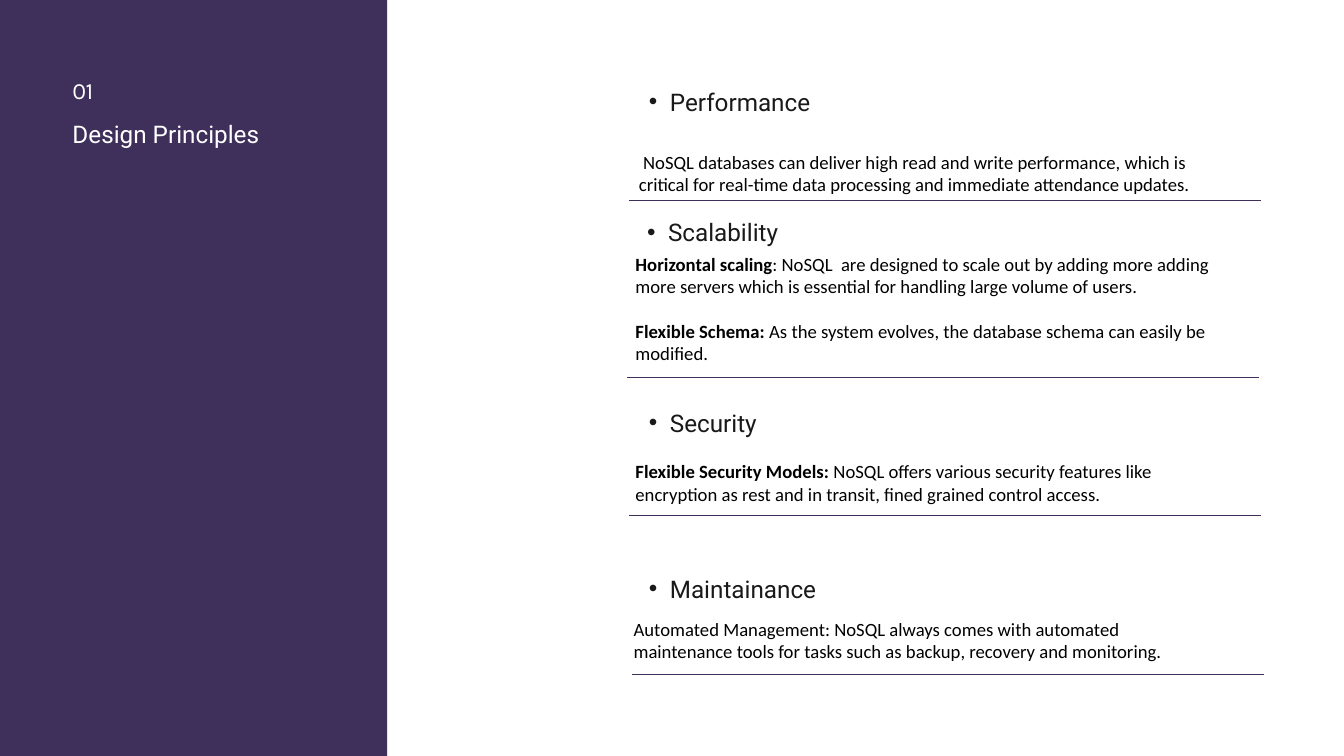
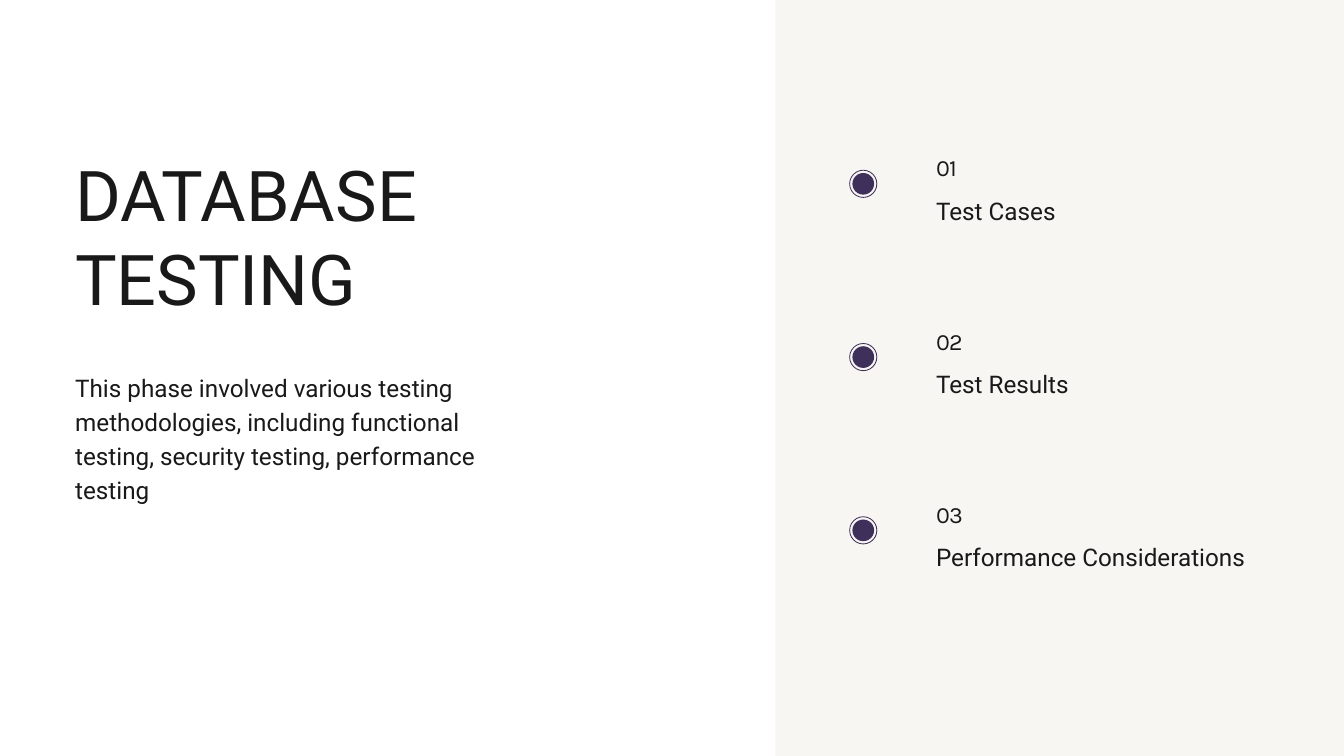
import lxml.etree
import pptx
import pptx.dml.color
import pptx.enum.shapes
import pptx.enum.text
import pptx.oxml.ns
import pptx.util

Cm = pptx.util.Cm
Pt = pptx.util.Pt
SHAPE = pptx.enum.shapes.MSO_SHAPE
qn = pptx.oxml.ns.qn

# Theme: colours, type styles and shared measures
THEME = {
    "purple": pptx.dml.color.RGBColor.from_string("3E2F5B"),
    "cream": pptx.dml.color.RGBColor.from_string("F8F6F3"),
    "ink": pptx.dml.color.RGBColor.from_string("191919"),
    "white": pptx.dml.color.RGBColor.from_string("FFFFFF"),
    "black": pptx.dml.color.RGBColor.from_string("000000"),
    "number": {"font": {"name": "Karla", "size": Pt(25)}, "leading": Pt(32.5), "tracking": -80},
    "label": {"font": {"name": "Roboto", "size": Pt(26)}, "leading": Pt(36.4)},
    "display": {"font": {"name": "Roboto", "size": Pt(75)}, "leading": Pt(90)},
    "detail": {"font": {"name": "Calibri", "size": Pt(20)}, "leading": 1.0, "inset": (0.25, 0.13)},
}
SLIDE_WIDTH, SLIDE_HEIGHT = 50.8, 28.58


def write_text(shape, box, text, style, color, lead="", bullet=False):
    """Place a text shape and fill it with one paragraph, with an optional bold lead."""
    for name, value in zip(("left", "top", "width", "height"), box):
        setattr(shape, name, Cm(value))
    side, edge = style.get("inset", (0, 0))
    frame = shape.text_frame
    frame_format = {
        "margin_left": Cm(side), "margin_right": Cm(side),
        "margin_top": Cm(edge), "margin_bottom": Cm(edge),
        "word_wrap": True,
        "vertical_anchor": pptx.enum.text.MSO_ANCHOR.TOP,
        "auto_size": pptx.enum.text.MSO_AUTO_SIZE.SHAPE_TO_FIT_TEXT,
    }
    for name, value in frame_format.items():
        setattr(frame, name, value)

    paragraph = frame.paragraphs[0]
    properties = paragraph._p.get_or_add_pPr()
    if bullet:
        properties.set("marL", str(Cm(1.55)))
        properties.set("indent", str(Cm(-0.79)))
        lxml.etree.SubElement(properties, qn("a:buFont")).set("typeface", "Arial")
        lxml.etree.SubElement(properties, qn("a:buChar")).set("char", "•")
    else:
        properties.set("marL", "0")
        properties.set("indent", "0")
        lxml.etree.SubElement(properties, qn("a:buNone"))
    paragraph_format = {
        "alignment": pptx.enum.text.PP_ALIGN.LEFT,
        "line_spacing": style["leading"],
        "space_before": Pt(0),
    }
    for name, value in paragraph_format.items():
        setattr(paragraph, name, value)

    for content, bold in ((lead, True), (text, False)):
        if content:
            run = paragraph.add_run()
            run.text = content
            for name, value in {**style["font"], "bold": bold}.items():
                setattr(run.font, name, value)
            run.font.color.rgb = color
            if "tracking" in style:
                run._r.get_or_add_rPr().set("spc", str(style["tracking"]))


def add_filled(slide, kind, box, color):
    """Add a flat preset shape without an outline."""
    shape = slide.shapes.add_shape(kind, *map(Cm, box))
    shape.shadow.inherit = False
    shape.fill.solid()
    shape.fill.fore_color.rgb = color
    shape.line.fill.background()
    return shape


presentation = pptx.Presentation()
presentation.slide_width = Cm(SLIDE_WIDTH)
presentation.slide_height = Cm(SLIDE_HEIGHT)
principles = presentation.slides.add_slide(presentation.slide_layouts.get_by_name("Comparison"))
testing = presentation.slides.add_slide(presentation.slide_layouts.get_by_name("Title and Content"))

# Side panels, behind the placeholders
for slide, left, width, color in (
    (principles, 0, 14.63, THEME["purple"]),
    (testing, 29.31, SLIDE_WIDTH - 29.31, THEME["cream"]),
):
    panel = add_filled(slide, SHAPE.RECTANGLE, (left, 0, width, SLIDE_HEIGHT), color)
    slide.shapes._spTree.insert(2, panel._element)

# Slide 1: section number and title
write_text(principles.shapes.add_textbox(0, 0, 0, 0), (2.74, 2.79, 9.7, 1.12),
           "01", THEME["number"], THEME["white"])
write_text(principles.shapes.title, (2.74, 4.32, 9.7, 1.19),
           "Design Principles", THEME["label"], THEME["white"])

# Slide 1: headings as (text, left, top, height)
headings = [
    ("Performance", 23.77, 3.1, 2.51),
    ("Scalability", 23.7, 8.03, 1.24),
    ("Security", 23.77, 15.24, 1.24),
    ("Maintainance", 23.77, 21.51, 1.24),
]
bodies = [placeholder for placeholder in principles.placeholders
          if placeholder.placeholder_format.idx > 0]
for placeholder, (heading, left, top, height) in zip(bodies, headings):
    write_text(placeholder, (left, top, 23.29, height), heading,
               THEME["label"], THEME["ink"], bullet=True)

# Slide 1: details as (left, top, bold lead, text)
details = [
    (23.9, 5.56, "", " NoSQL databases can deliver high read and write performance, which is "
     "critical for real-time data processing and immediate attendance updates."),
    (23.77, 9.42, "Horizontal scaling", ": NoSQL  are designed to scale out by adding more adding "
     "more servers which is essential for handling large volume of users."),
    (23.77, 11.96, "Flexible Schema:", " As the system evolves, the database schema can easily be "
     "modified."),
    (23.77, 17.27, "Flexible Security Models:", " NoSQL offers various security features like "
     "encryption as rest and in transit, fined grained control access."),
    (23.7, 23.22, "", "Automated Management: NoSQL always comes with automated "
     "maintenance tools for tasks such as backup, recovery and monitoring."),
]
for left, top, lead, text in details:
    write_text(principles.shapes.add_textbox(0, 0, 0, 0), (left, top, 22.43, 1.96),
               text, THEME["detail"], THEME["black"], lead=lead)

# Slide 1: rules under the sections
for left, top in ((23.77, 7.57), (23.7, 14.27), (23.77, 19.48), (23.9, 25.5)):
    rule = principles.shapes.add_connector(
        pptx.enum.shapes.MSO_CONNECTOR.STRAIGHT, Cm(left), Cm(top), Cm(left + 23.88), Cm(top))
    rule.line.color.rgb = THEME["purple"]
    rule.line.width = Pt(0.75)
    lxml.etree.SubElement(rule._element.spPr, qn("a:effectLst"))

# Slide 2: title and summary
write_text(testing.shapes.title, (2.84, 5.74, 19.66, 6.38),
           "DATABASE TESTING", THEME["display"], THEME["ink"])
write_text(testing.placeholders[1], (2.84, 13.92, 16.81, 5),
           "This phase involved various testing methodologies, including functional testing, "
           "security testing, performance testing", THEME["label"], THEME["ink"])

# Slide 2: numbered topics with ringed dots
TOPIC_TOP, TOPIC_PITCH = 5.72, 6.55
DOT_CENTER, DOT_SIZE, RING_SIZE = 32.63, 0.82, 1.06
for index, topic in enumerate(("Test Cases", "Test Results", "Performance Considerations")):
    top = TOPIC_TOP + index * TOPIC_PITCH
    middle = top + 1.23
    for kind, size in ((SHAPE.OVAL, DOT_SIZE), (SHAPE.DONUT, RING_SIZE)):
        marker = add_filled(testing, kind, (DOT_CENTER - size / 2, middle - size / 2, size, size),
                            THEME["purple"])
        if kind == SHAPE.DONUT:
            marker.adjustments[0] = 0.03
    for offset, height, text, style in (
        (0, 1.12, f"{index + 1:02}", THEME["number"]),
        (1.51, 1.19, topic, THEME["label"]),
    ):
        write_text(testing.shapes.add_textbox(0, 0, 0, 0), (35.38, top + offset, 12.55, height),
                   text, style, THEME["ink"])

presentation.save("out.pptx")
